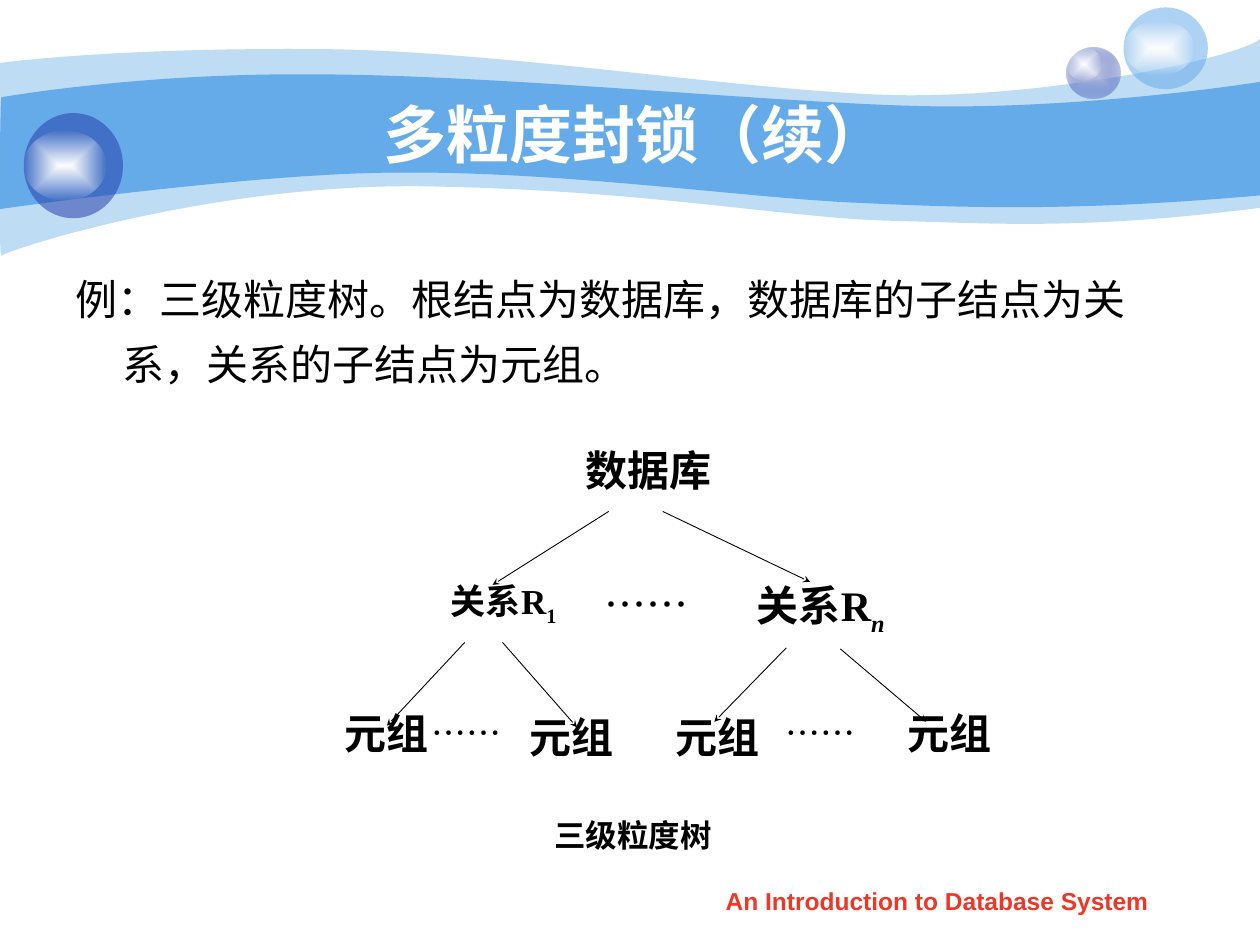
from lxml.etree import SubElement
from pptx import Presentation
from pptx.dml.color import RGBColor
from pptx.enum.shapes import MSO_CONNECTOR, MSO_SHAPE
from pptx.enum.text import MSO_ANCHOR, MSO_AUTO_SIZE, PP_ALIGN
from pptx.oxml import parse_xml
from pptx.oxml.ns import nsdecls, qn
from pptx.util import Cm, Pt

COLORS = {"sky": "65AAE9", "navy": "233DA9", "lilac": "C6CCE8", "white": "FFFFFF",
          "glow": "FEFEFE", "black": "000000", "red": "F03628"}
LATIN, CHINESE, SERIF = "Arial", "Noto Sans CJK SC", "Times New Roman"

TITLE = "多粒度封锁（续）"
EXAMPLE = "例：三级粒度树。根结点为数据库，数据库的子结点为关系，关系的子结点为元组。"
CAPTION = "三级粒度树"
FOOTER = "An Introduction to Database System"

# Lengths in cm. Each wave: opacity in percent, start, then curves (three points) or lines (one).
WAVES = [
    (41, (0, 1.27), [
        [(0.61, 1.19), (2.72, 0.97), (6.27, 0.99)],
        [(9.8, 0.99), (14.61, 1.78), (17.75, 1.91)],
        [(20.88, 2.03), (24.89, 1.19), (25.4, 0.79)],
        [(25.4, 4.19)],
        [(21.79, 4.65), (19.99, 4.5), (17.91, 4.45)],
        [(15.8, 4.39), (13.08, 3.84), (8.71, 3.76)],
        [(4.37, 3.66), (0.1, 5.05), (0.03, 5.16)],
        [(-0.03, 5.28), (0, 1.91), (0, 1.27)]]),
    (100, (0.03, 1.96), [
        [(0.05, 1.96), (2.79, 1.47), (6.3, 1.5)],
        [(9.8, 1.5), (15.11, 2.03), (18.24, 2.13)],
        [(21.36, 2.24), (24.79, 1.75), (25.4, 1.65)],
        [(25.4, 3.94)],
        [(21.67, 4.27), (19.43, 4.19), (17.32, 4.09)],
        [(15.21, 4.01), (11.35, 3.45), (8.05, 3.48)],
        [(5.16, 3.48), (-0.05, 4.22), (-0.03, 4.22)],
        [(0, 4.22), (0, 1.96), (0.03, 1.96)]]),
]
# Sphere box, its fill stops (color, opacity), highlight box
SPHERES = [
    ((21.51, 0.95, 1.08, 1.03), [("lilac", 100), ("navy", 31)], (21.51, 0.95, 0.7, 0.68)),
    ((22.65, 0.15, 1.7, 1.65), [("sky", 53)], (22.65, 0.42, 1.42, 1.1)),
    ((0.48, 2.28, 2.0, 2.12), [("navy", 53)], (0.48, 2.63, 1.67, 1.42)),
]
HIGHLIGHT = [("white", 100), ("glow", 0)]

BRANCHES = [
    ((12.27, 10.31), (9.93, 11.79)), ((13.36, 10.31), (16.33, 11.73)),
    ((9.37, 12.95), (7.8, 14.63)), ((10.13, 12.95), (11.63, 14.66)),
    ((15.85, 13.06), (14.4, 14.55)), ((16.94, 13.08), (18.67, 14.55)),
]
# Text, subscript, box, size
NODES = [
    ("数据库", "", (11.25, 8.9, 3.66, 1.63), 24),
    ("关系R", "n", (14.69, 11.56, 3.71, 1.45), 24),
    ("关系R", "1", (8.02, 11.56, 4.27, 2.31), 20),
    ("元组", "", (6.35, 14.2, 2.9, 1.5), 24),
    ("元组", "", (17.31, 14.2, 3.66, 1.68), 24),
    ("元组", "", (10.07, 14.28, 2.9, 1.5), 24),
    ("元组", "", (13.02, 14.28, 2.9, 1.5), 24),
]
GAPS = [((11.94, 11.61, 3.71, 1.22), 24), ((15.58, 14.27, 3, 1.22), 20),
        ((8.45, 14.27, 3, 1.22), 20)]


def rgb(name):
    return RGBColor.from_string(COLORS[name])


def lengths(values):
    return [Cm(value) for value in values]


def paint(shape, stops):
    """Fill with one color, or with a rectangular gradient from centre to edge."""
    shape.shadow.inherit = False
    shape.line.fill.background()
    tints = [f'<a:srgbClr val="{COLORS[name]}"><a:alpha val="{opacity * 1000}"/></a:srgbClr>'
             for name, opacity in stops]
    if len(tints) == 1:
        xml = f'<a:solidFill {nsdecls("a")}>{tints[0]}</a:solidFill>'
    else:
        marks = "".join(f'<a:gs pos="{index * 100000}">{tint}</a:gs>'
                        for index, tint in enumerate(tints))
        xml = (f'<a:gradFill {nsdecls("a")} rotWithShape="1"><a:gsLst>{marks}</a:gsLst>'
               '<a:path path="rect"><a:fillToRect l="50000" t="50000" r="50000" b="50000"/>'
               '</a:path></a:gradFill>')
    shape.line._ln.addprevious(parse_xml(xml))


def add_wave(page, opacity, start, segments):
    """Build an outline through all points, then join each three into a Bezier curve."""
    builder = page.shapes.build_freeform(*lengths(start))
    points = [lengths(point) for segment in segments for point in segment]
    builder.add_line_segments(points, close=True)
    wave = builder.convert_to_shape()
    steps = iter(list(wave._element.iter(qn("a:lnTo"))))
    for segment in segments:
        group = [next(steps) for _ in segment]
        if len(group) == 3:
            curve = parse_xml(f'<a:cubicBezTo {nsdecls("a")}/>')
            group[0].addprevious(curve)
            for step in group:
                curve.append(step[0])
                step.getparent().remove(step)
    paint(wave, [("sky", opacity)])


def add_ellipse(page, box, stops):
    paint(page.shapes.add_shape(MSO_SHAPE.OVAL, *lengths(box)), stops)


def add_branch(page, start, end):
    line = page.shapes.add_connector(MSO_CONNECTOR.STRAIGHT, *lengths(start + end))
    line.line.color.rgb = rgb("black")
    line.line.width = Pt(0.5)
    SubElement(line.line._ln, qn("a:tailEnd"), type="stealth", w="sm", len="sm")
    SubElement(line._element.spPr, qn("a:effectLst"))


def add_span(para, text, size, font, color, bold, italic=False, subscript=False):
    span = para.add_run()
    span.text = text
    span.font.size, span.font.name = Pt(size), font
    span.font.bold, span.font.italic = bold, italic
    span.font.color.rgb = rgb(color)
    properties = span.font._element
    properties.set("lang", "zh-CN")
    SubElement(properties, qn("a:ea"), typeface=CHINESE)
    if subscript:
        properties.set("baseline", "-25000")


def write(shape, text, *, size, font=LATIN, color="black", bold=False, subscript="",
          align=PP_ALIGN.CENTER, anchor=MSO_ANCHOR.TOP, spacing=1.0, hanging=0, wrap=True):
    frame = shape.text_frame
    frame.word_wrap, frame.auto_size = wrap, MSO_AUTO_SIZE.NONE
    frame.vertical_anchor = anchor
    para = frame.paragraphs[0]
    para.alignment, para.line_spacing = align, spacing
    properties = para._p.get_or_add_pPr()
    properties.set("hangingPunct", "0")
    if hanging:
        properties.set("marL", str(Cm(hanging)))
        properties.set("indent", str(-Cm(hanging)))
    add_span(para, text, size, font, color, bold)
    if subscript:
        add_span(para, subscript, size, font, color, bold,
                 italic=subscript.isalpha(), subscript=True)


def add_text(page, box, text, **style):
    write(page.shapes.add_textbox(*lengths(box)), text, **style)


def main():
    deck = Presentation()
    deck.slide_width, deck.slide_height = Cm(25.4), Cm(19.05)
    page = deck.slides.add_slide(deck.slide_layouts[5])

    for wave in WAVES:
        add_wave(page, *wave)
    for box, stops, highlight in SPHERES:
        add_ellipse(page, box, stops)
        add_ellipse(page, highlight, HIGHLIGHT)

    title = page.shapes.title
    title.left, title.top, title.width, title.height = lengths((2.55, 1.9, 20.52, 1.57))
    write(title, TITLE, size=36, color="white", bold=True, anchor=MSO_ANCHOR.MIDDLE)
    page.shapes._spTree.append(title._element)  # in front of the waves

    add_text(page, (1.27, 5.08, 22.86, 12.5), EXAMPLE, size=24, align=PP_ALIGN.LEFT,
             spacing=1.3, hanging=0.95)
    for start, end in BRANCHES:
        add_branch(page, start, end)
    for text, subscript, box, size in NODES:
        add_text(page, box, text, subscript=subscript, size=size, font=SERIF, bold=True,
                 spacing=0.96)
    for box, size in GAPS:
        add_text(page, box, "……", size=size, font=CHINESE, align=PP_ALIGN.JUSTIFY, spacing=0.96)
    add_text(page, (9.97, 16.33, 5.59, 1.02), CAPTION, size=18, font=SERIF, bold=True, wrap=False)
    add_text(page, (13.89, 17.73, 10.01, 0.89), FOOTER, size=14, color="red", bold=True)
    deck.save("out.pptx")


if __name__ == "__main__":
    main()
